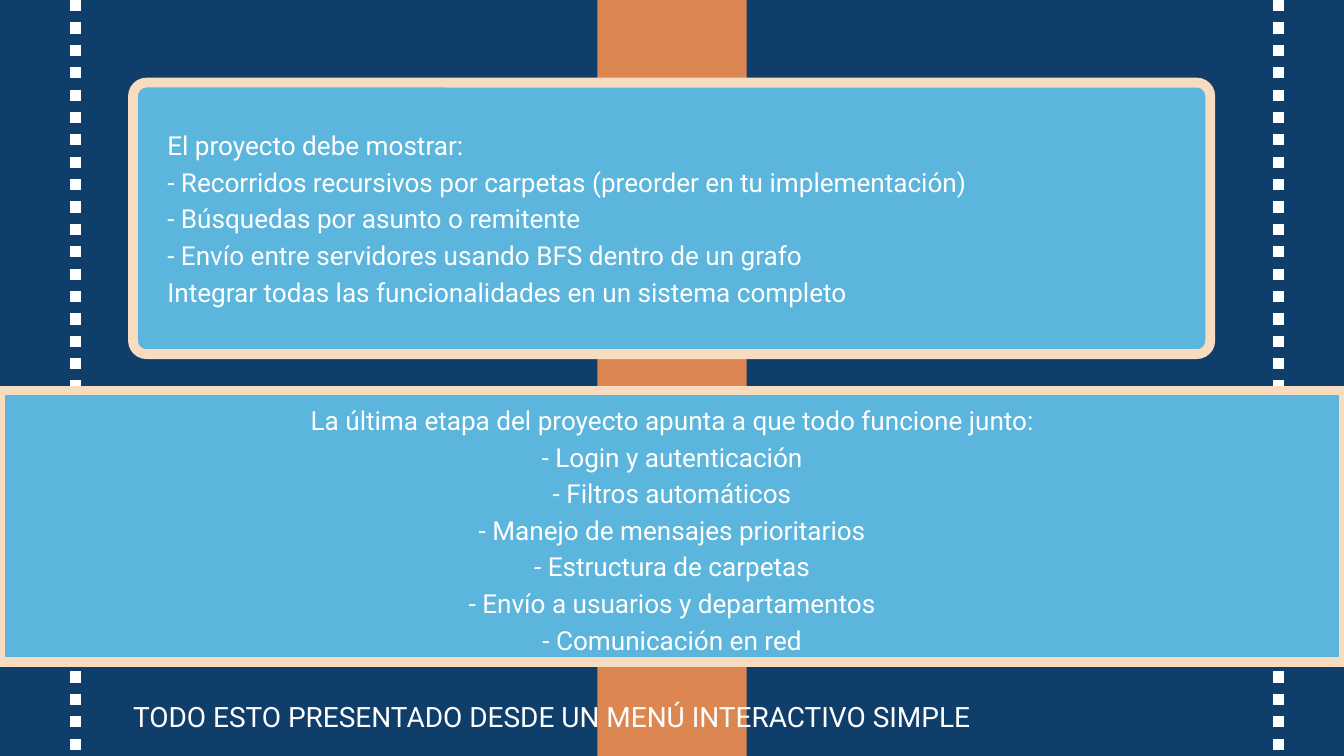
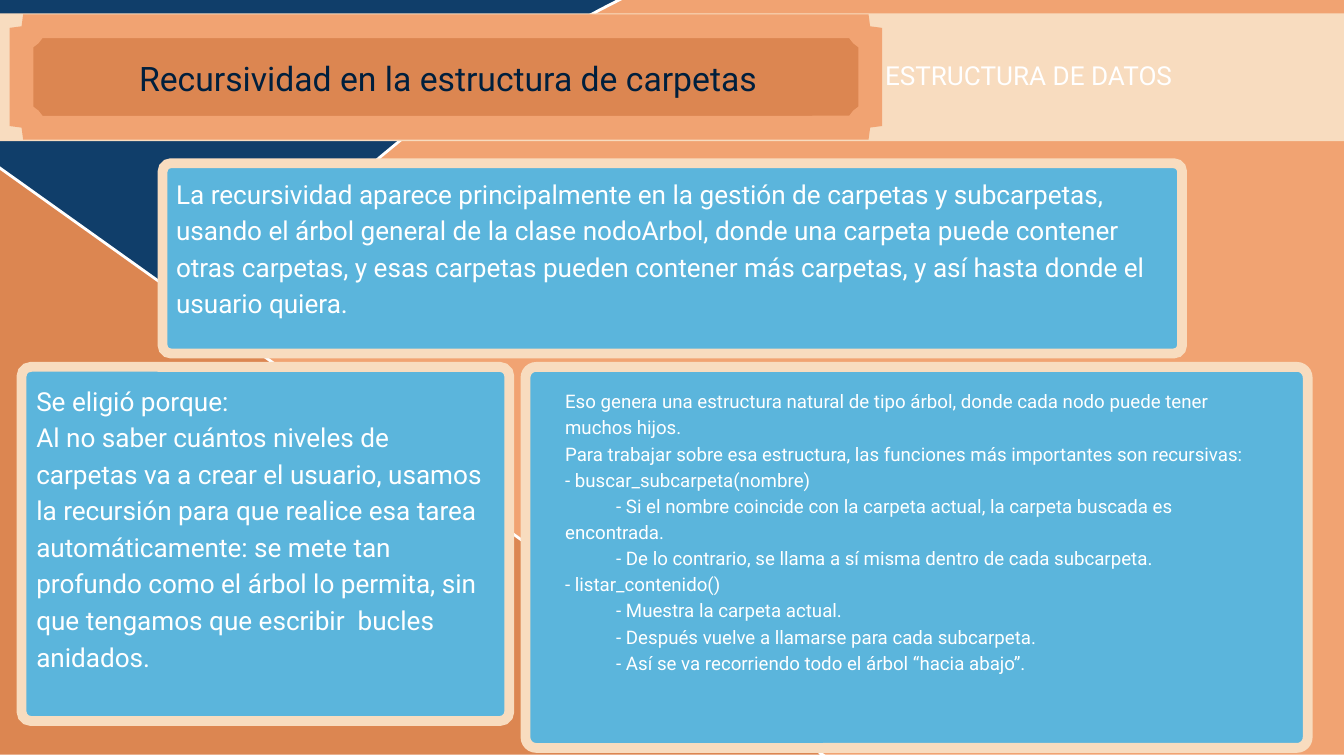
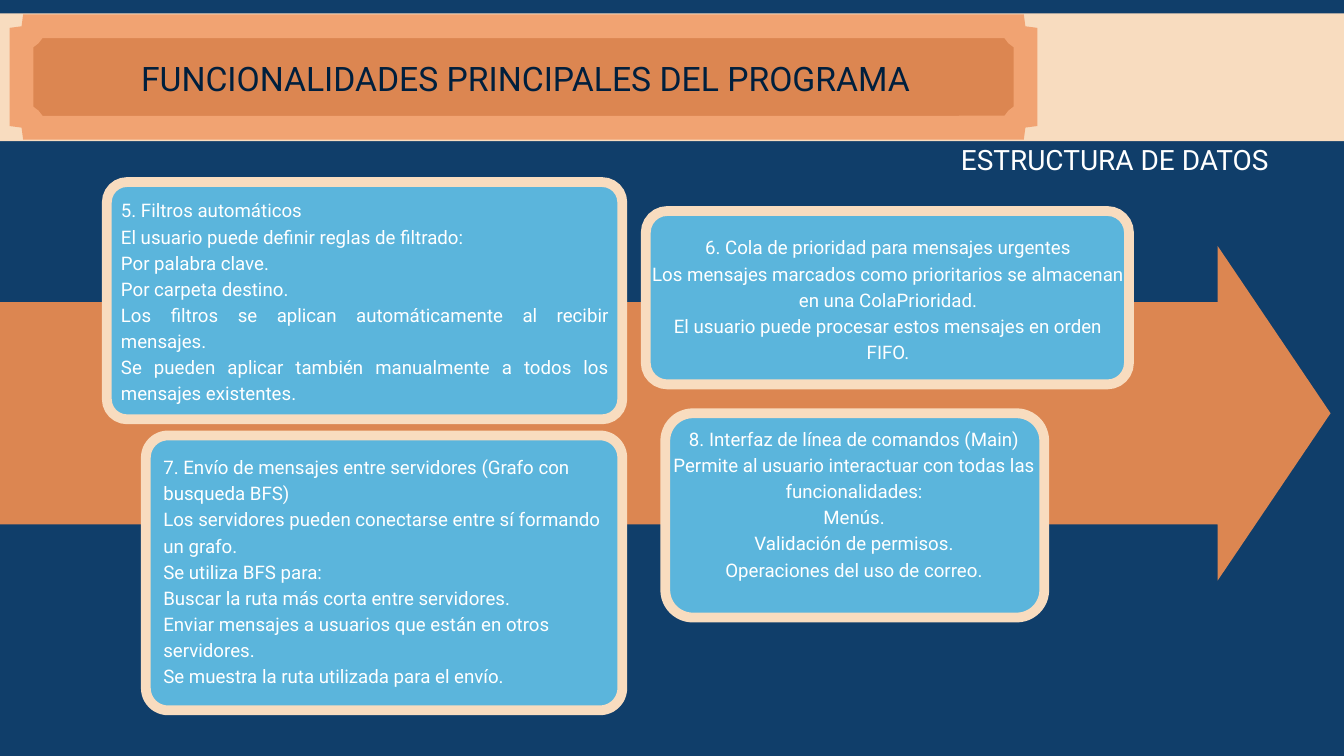
import math
from dataclasses import dataclass

import lxml.etree
import pptx
import pptx.dml.color
import pptx.enum.dml
import pptx.enum.shapes
import pptx.enum.text
import pptx.oxml.ns
import pptx.util

SLIDE_WIDTH = pptx.util.Inches(20)
SLIDE_HEIGHT = pptx.util.Inches(11.25)
COLUMNS, ROWS = 20, 11.25
COLUMN = SLIDE_WIDTH / COLUMNS
ROW = SLIDE_HEIGHT / ROWS

NAVY = pptx.dml.color.RGBColor(0x10, 0x3E, 0x6A)
INK = pptx.dml.color.RGBColor(0x00, 0x1F, 0x3D)
SKY = pptx.dml.color.RGBColor(0x5B, 0xB5, 0xDC)
CREAM = pptx.dml.color.RGBColor(0xF8, 0xDC, 0xBF)
COPPER = pptx.dml.color.RGBColor(0xDC, 0x86, 0x51)
PEACH = pptx.dml.color.RGBColor(0xF1, 0xA3, 0x72)
WHITE = pptx.dml.color.RGBColor(0xFF, 0xFF, 0xFF)

FONT = "Roboto"
LINE_HEIGHT = 1.4
LARGE, SMALL, LABEL, TITLE = 28, 20, 30, 36.1
COURSE = "ESTRUCTURA DE DATOS"

SHAPE = pptx.enum.shapes.MSO_SHAPE
ALIGN = pptx.enum.text.PP_ALIGN


@dataclass
class Box:
    left: float
    top: float
    width: float
    height: float

    def inset(self, left, top, right, bottom=0):
        return Box(self.left + left, self.top + top,
                   self.width - left - right, self.height - top - bottom)

    def emu(self):
        return (round(self.left * COLUMN), round(self.top * ROW),
                round(self.width * COLUMN), round(self.height * ROW))


@dataclass
class Line:
    text: str
    indent: float = 0


def indented(text):
    return Line(text, 0.76)


def paint(shape, fill, line=None, weight=0):
    shape.shadow.inherit = False
    shape.fill.solid()
    shape.fill.fore_color.rgb = fill
    if line is None:
        shape.line.fill.background()
        return
    shape.line.color.rgb = line
    shape.line.width = pptx.util.Pt(weight)
    outline = shape._element.spPr.find(pptx.oxml.ns.qn("a:ln"))
    miter = lxml.etree.SubElement(outline, pptx.oxml.ns.qn("a:miter"))
    miter.set("lim", "800000")


def draw(page, kind, box, fill, line=None, weight=0, adjustments=()):
    shape = page.shapes.add_shape(kind, *box.emu())
    for index, value in enumerate(adjustments):
        shape.adjustments[index] = value
    paint(shape, fill, line, weight)


def write(page, box, lines, size=LARGE, color=WHITE, align=ALIGN.LEFT):
    frame = page.shapes.add_textbox(*box.emu()).text_frame
    frame.word_wrap = True
    frame.margin_left = frame.margin_top = frame.margin_right = frame.margin_bottom = 0
    for index, entry in enumerate(lines):
        line = entry if isinstance(entry, Line) else Line(entry)
        para = frame.add_paragraph() if index else frame.paragraphs[0]
        para.alignment = align
        para.line_spacing = pptx.util.Pt(size * LINE_HEIGHT)
        if line.indent:
            para._p.get_or_add_pPr().set("indent", str(round(line.indent * COLUMN)))
        span = para.add_run()
        span.text = line.text
        span.font.name = FONT
        span.font.size = pptx.util.Pt(size)
        span.font.color.rgb = color


def card(page, box, radius, inset, lines, size=SMALL, align=ALIGN.LEFT):
    draw(page, SHAPE.ROUNDED_RECTANGLE, box, SKY, CREAM, 10.5,
         [radius / min(box.width, box.height)])
    write(page, box.inset(*inset), lines, size=size, align=align)


def dotted_line(page, column):
    x = round(column * COLUMN)
    line = page.shapes.add_connector(
        pptx.enum.shapes.MSO_CONNECTOR.STRAIGHT, x, 0, x, SLIDE_HEIGHT)
    line.line.color.rgb = WHITE
    line.line.width = pptx.util.Pt(12)
    line.line.dash_style = pptx.enum.dml.MSO_LINE.ROUND_DOT
    lxml.etree.SubElement(line._element.spPr, pptx.oxml.ns.qn("a:effectLst"))


def header(page, box, plaque_width, title):
    draw(page, SHAPE.RECTANGLE, box, CREAM)
    plaque = Box(box.left + 0.32, box.top + 0.19, plaque_width, box.height - 0.39)
    draw(page, SHAPE.PLAQUE, plaque, COPPER, PEACH, 25.5, [0.18 / plaque.height])
    write(page, plaque.inset(0.43, 0.37, 0.36), [title],
          size=TITLE, color=INK, align=ALIGN.CENTER)


def quarter_ellipse(page, box, steps=60):
    right, bottom = box.left + box.width, box.top + box.height
    angles = [math.pi / 2 * step / steps for step in range(steps + 1)]
    arc = [(round((right - box.width * math.cos(angle)) * COLUMN),
            round((bottom - box.height * math.sin(angle)) * ROW)) for angle in angles]
    builder = page.shapes.build_freeform(*arc[0])
    builder.add_line_segments(arc[1:] + [(round(right * COLUMN), round(bottom * ROW))], close=True)
    paint(builder.convert_to_shape(), PEACH, WHITE, 3)


def new_page(deck):
    page = deck.slides.add_slide(deck.slide_layouts[6])
    page.background.fill.solid()
    page.background.fill.fore_color.rgb = NAVY
    return page


def goals_page(page, box):
    stripe = box.width / 9
    draw(page, SHAPE.RECTANGLE,
         Box(box.left + (box.width - stripe) / 2, box.top, stripe, box.height), COPPER)
    for column in (19.03, 1.12):
        dotted_line(page, box.left + column)
    final_stage = Box(box.left, 5.81, box.width, 4.04)
    draw(page, SHAPE.RECTANGLE, final_stage, SKY, CREAM, 10.5)
    write(page, final_stage.inset(3.17, 0.13, 3.17), [
        "La última etapa del proyecto apunta a que todo funcione junto:",
        "- Login y autenticación",
        "- Filtros automáticos",
        "- Manejo de mensajes prioritarios",
        "- Estructura de carpetas",
        "- Envío a usuarios y departamentos",
        "- Comunicación en red",
    ], align=ALIGN.CENTER)
    card(page, Box(1.98, 1.23, 16.03, 4.04), 0.2, (0.51, 0.62, 0.49, 0.72), [
        "El proyecto debe mostrar:",
        "- Recorridos recursivos por carpetas (preorder en tu implementación)",
        "- Búsquedas por asunto o remitente",
        "- Envío entre servidores usando BFS dentro de un grafo",
        "Integrar todas las funcionalidades en un sistema completo",
    ], size=LARGE, align=ALIGN.JUSTIFY)
    write(page, Box(1.98, 10.32, 15.36, 0.55),
          ["TODO ESTO PRESENTADO DESDE UN MENÚ INTERACTIVO SIMPLE"], size=LABEL)


def recursion_page(page, box):
    quarter_ellipse(page, Box(1.12, -2.48, 18.96, 13.73))
    header(page, Box(box.left, 0.2, box.width, 1.9), 12.63,
           "Recursividad en la estructura de carpetas")
    write(page, Box(13.17, 0.81, 5.7, 0.55), [COURSE])
    draw(page, SHAPE.RIGHT_TRIANGLE, Box(-0.1, 2.43, 12.37, 8.82), COPPER, WHITE, 3)
    card(page, Box(2.42, 2.43, 15.17, 2.83), 0.12, (0.2, 0.14, 0.23), [
        "La recursividad aparece principalmente en la gestión de carpetas y subcarpetas, "
        "usando el árbol general de la clase nodoArbol, donde una carpeta puede contener "
        "otras carpetas, y esas carpetas pueden contener más carpetas, y así hasta donde "
        "el usuario quiera.",
    ], size=LARGE)
    card(page, Box(7.82, 5.46, 11.64, 5.67), 0.16, (0.59, 0.29, 0.58, 0.39), [
        "Eso genera una estructura natural de tipo árbol, donde cada nodo puede tener "
        "muchos hijos.",
        "Para trabajar sobre esa estructura, las funciones más importantes son recursivas:",
        "- buscar_subcarpeta(nombre)",
        indented("- Si el nombre coincide con la carpeta actual, la carpeta buscada es "
                 "encontrada."),
        indented("- De lo contrario, se llama a sí misma dentro de cada subcarpeta."),
        "- listar_contenido()",
        indented("- Muestra la carpeta actual."),
        indented("- Después vuelve a llamarse para cada subcarpeta."),
        indented("- Así se va recorriendo todo el árbol “hacia abajo”."),
    ])
    card(page, Box(0.32, 5.46, 7.26, 5.27), 0.14, (0.22, 0.19, 0.2, 0.21), [
        "Se eligió porque:",
        "Al no saber cuántos niveles de carpetas va a crear el usuario, usamos la recursión "
        "para que realice esa tarea automáticamente: se mete tan profundo como el árbol lo "
        "permita, sin que tengamos que escribir  bucles anidados.",
    ], size=LARGE)


def features_page(page, box):
    header(page, Box(box.left, 0.2, box.width, 1.9), 14.94,
           "FUNCIONALIDADES PRINCIPALES DEL PROGRAMA")
    arrow = Box(box.left, 3.66, 19.8, 4.98)
    draw(page, SHAPE.RIGHT_ARROW, arrow, COPPER,
         adjustments=[3.31 / arrow.height, 1.68 / arrow.height])
    card(page, Box(9.61, 3.14, 7.19, 2.58), 0.32, (0.07, 0.32, 0.05, 0.35), [
        "6. Cola de prioridad para mensajes urgentes",
        "Los mensajes marcados como prioritarios se almacenan en una ColaPrioridad.",
        "El usuario puede procesar estos mensajes en orden FIFO.",
    ], align=ALIGN.CENTER)
    card(page, Box(1.59, 2.71, 7.67, 3.53), 0.3, (0.21, 0.2, 0.2, 0.25), [
        "5. Filtros automáticos",
        "El usuario puede definir reglas de filtrado:",
        "Por palabra clave.",
        "Por carpeta destino.",
        "Los filtros se aplican automáticamente al recibir mensajes.",
        "Se pueden aplicar también manualmente a todos los mensajes existentes.",
    ], align=ALIGN.JUSTIFY)
    card(page, Box(9.9, 6.15, 5.64, 3.04), 0.41, (0.11, 0.16, 0.13, 0.2), [
        "8. Interfaz de línea de comandos (Main)",
        "Permite al usuario interactuar con todas las funcionalidades:",
        "Menús.",
        "Validación de permisos.",
        "Operaciones del uso de correo.",
    ], align=ALIGN.CENTER)
    card(page, Box(2.17, 6.48, 7.09, 4.09), 0.33, (0.26, 0.25, 0.24), [
        "7. Envío de mensajes entre servidores (Grafo con busqueda BFS)",
        "Los servidores pueden conectarse entre sí formando un grafo.",
        "Se utiliza BFS para:",
        "Buscar la ruta más corta entre servidores.",
        "Enviar mensajes a usuarios que están en otros servidores.",
        "Se muestra la ruta utilizada para el envío.",
    ])
    write(page, Box(14.3, 2.04, 5.7, 0.55), [COURSE], size=LABEL)


def main():
    deck = pptx.Presentation()
    deck.slide_width = SLIDE_WIDTH
    deck.slide_height = SLIDE_HEIGHT
    for build in (goals_page, recursion_page, features_page):
        build(new_page(deck), Box(0, 0, COLUMNS, ROWS))
    deck.save("out.pptx")


if __name__ == "__main__":
    main()
